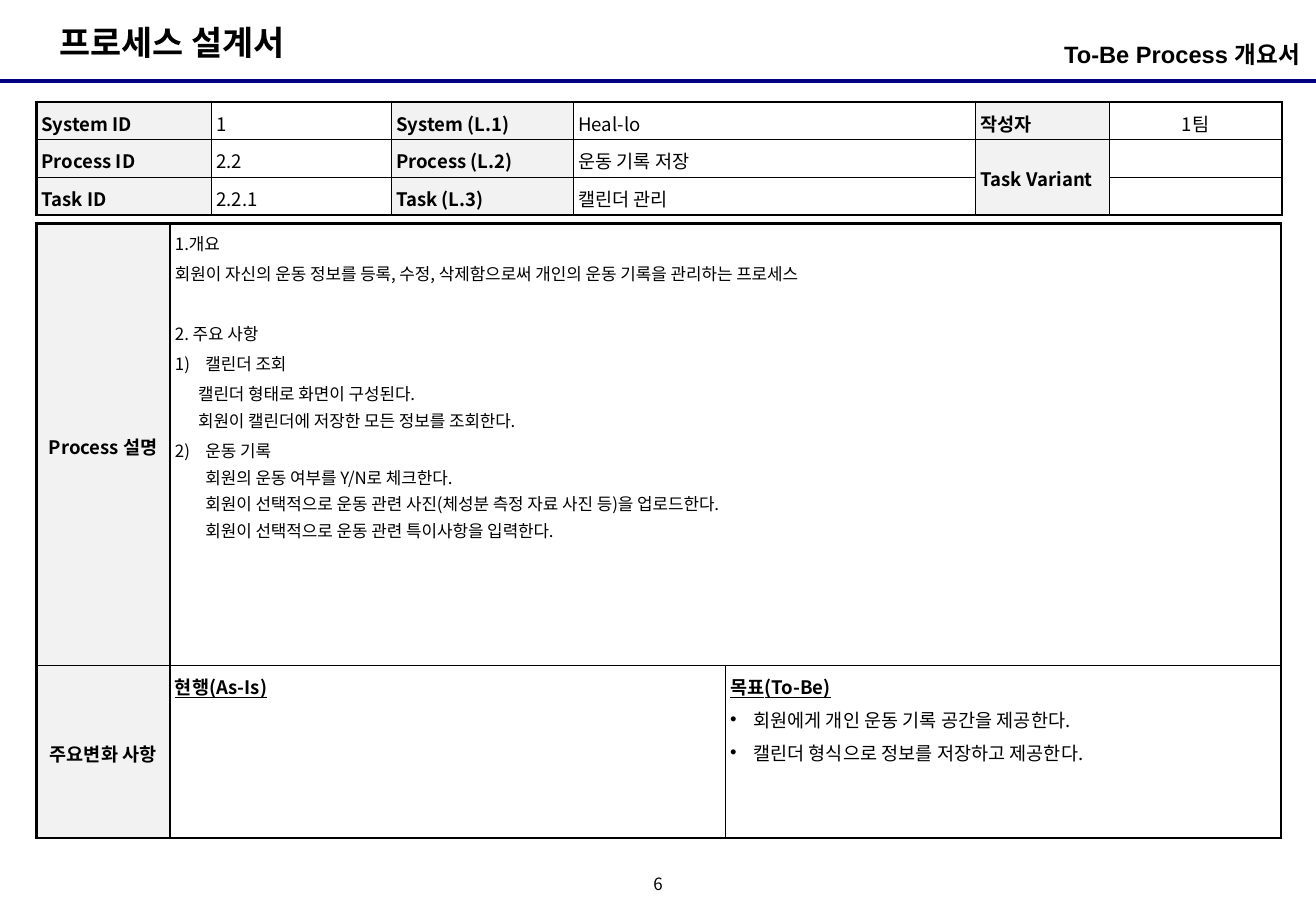
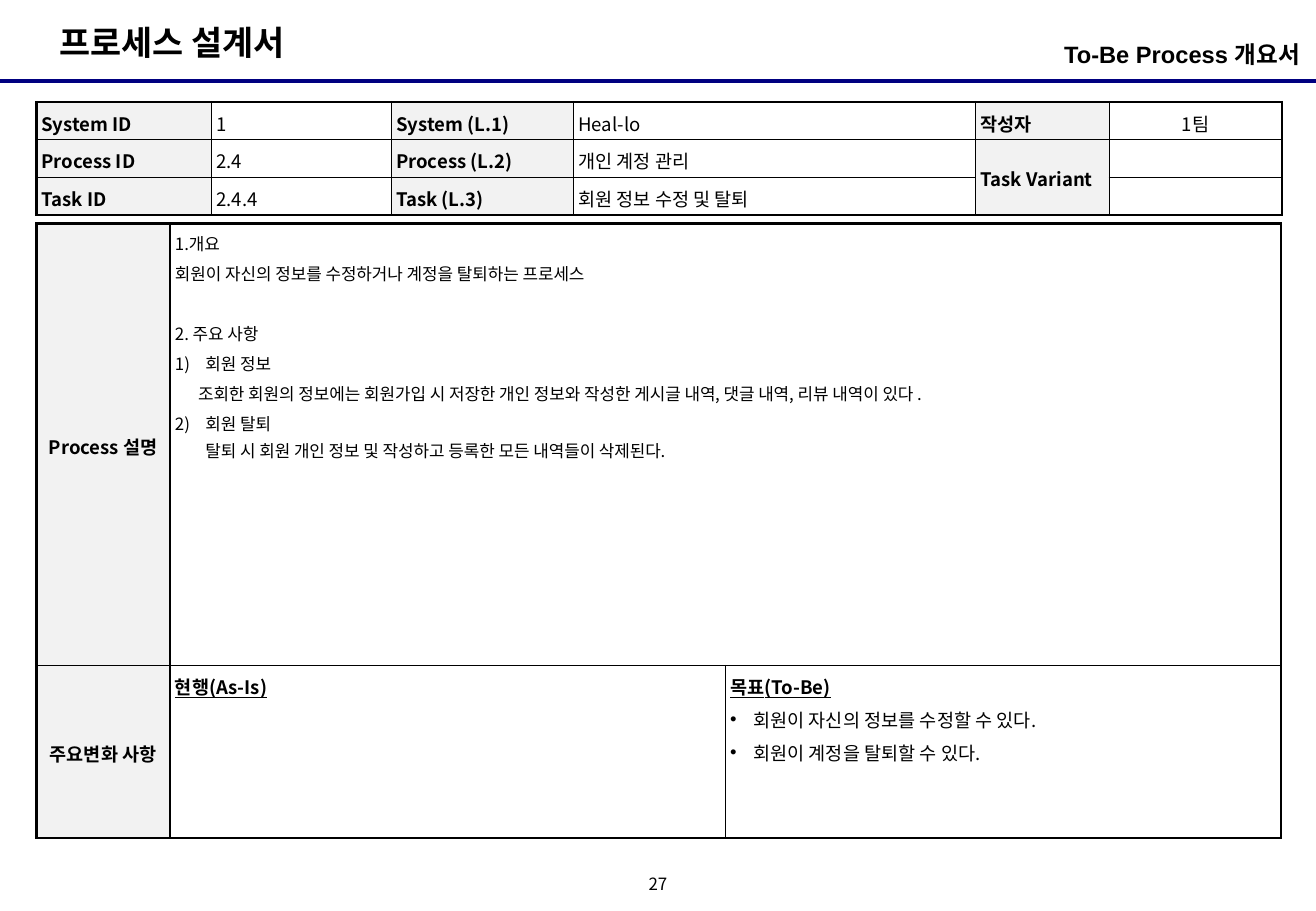
from copy import deepcopy
from dataclasses import dataclass
from typing import Optional

from lxml.etree import SubElement
from pptx import Presentation
from pptx.dml.color import RGBColor
from pptx.enum.shapes import MSO_CONNECTOR
from pptx.enum.text import MSO_ANCHOR, MSO_AUTO_SIZE, PP_ALIGN
from pptx.oxml.ns import qn
from pptx.util import Inches, Pt

COLORS = {"text": "000000", "rule": "000080", "label": "F2F2F2", "body": "FFFFFF"}
KOREAN_FONT = "Noto Sans CJK KR"
TITLE_FONT = "Arial"
TABLE_LEFT = 0.3
CELL_MARGIN = 0.04
OUTER_LINE, INNER_LINE = 1.5, 1
HEADER_WIDTHS = [1.44, 1.48, 1.5, 3.31, 1.1, 1.42]
HEADER_HEIGHTS = [0.31] * 3
DETAIL_WIDTHS = [1.1, 4.57, 4.57]
DETAIL_HEIGHTS = [3.64, 1.42]


@dataclass
class Line:
    text: str
    size: float = 11
    bold: bool = False
    underline: bool = False
    align: PP_ALIGN = PP_ALIGN.LEFT
    margin: float = 0
    hanging: float = 0
    before: float = 2
    spacing: float = 1.1
    bullet: str = ""
    number: int = 0
    font: str = KOREAN_FONT


@dataclass
class CellContent:
    lines: list[Line]
    fill: Optional[str] = None
    anchor: MSO_ANCHOR = MSO_ANCHOR.TOP


@dataclass
class Topic:
    heading: str
    details: list[str]


@dataclass
class ProcessPage:
    number: int
    process_id: str
    process: str
    task_id: str
    task: str
    overview: str
    first: Topic
    second: Topic
    goals: list[str]


PAGES = [
    ProcessPage(
        6, "2.2", "운동 기록 저장", "2.2.1", "캘린더 관리",
        "회원이 자신의 운동 정보를 등록, 수정, 삭제함으로써 개인의 운동 기록을 관리하는 프로세스",
        Topic("캘린더 조회", ["캘린더 형태로 화면이 구성된다.",
                         "회원이 캘린더에 저장한 모든 정보를 조회한다."]),
        Topic("운동 기록", ["회원의 운동 여부를 Y/N로 체크한다.",
                        "회원이 선택적으로 운동 관련 사진(체성분 측정 자료 사진 등)을 업로드한다.",
                        "회원이 선택적으로 운동 관련 특이사항을 입력한다."]),
        ["회원에게 개인 운동 기록 공간을 제공한다.",
         "캘린더 형식으로 정보를 저장하고 제공한다."],
    ),
    ProcessPage(
        27, "2.4", "개인 계정 관리", "2.4.4", "회원 정보 수정 및 탈퇴",
        "회원이 자신의 정보를 수정하거나 계정을 탈퇴하는 프로세스",
        Topic("회원 정보", ["조회한 회원의 정보에는 회원가입 시 저장한 개인 정보와 작성한 게시글 내역, "
                        "댓글 내역, 리뷰 내역이 있다 ."]),
        Topic("회원 탈퇴", ["탈퇴 시 회원 개인 정보 및 작성하고 등록한 모든 내역들이 삭제된다."]),
        ["회원이 자신의 정보를 수정할 수 있다.", "회원이 계정을 탈퇴할 수 있다."],
    ),
]


def color(name: str) -> RGBColor:
    return RGBColor.from_string(COLORS[name])


def write_paragraph(paragraph, line: Line, is_first: bool) -> None:
    paragraph.text = line.text
    paragraph.alignment = line.align
    paragraph.line_spacing = line.spacing
    paragraph.space_before = Pt(0 if is_first else line.before)
    properties = paragraph._p.get_or_add_pPr()
    properties.set("marL", str(Inches(line.margin)))
    properties.set("indent", str(Inches(-line.hanging)))
    if line.number:
        SubElement(properties, qn("a:buAutoNum"), type="arabicParenR",
                   startAt=str(line.number))
    elif line.bullet:
        SubElement(properties, qn("a:buFont"), typeface=TITLE_FONT)
        SubElement(properties, qn("a:buChar"), char=line.bullet)
    else:
        SubElement(properties, qn("a:buNone"))
    for run in paragraph.runs:
        font = run.font
        font.name, font.size = line.font, Pt(line.size)
        font.bold, font.underline = line.bold, line.underline
        font.color.rgb = color("text")
        SubElement(run._r.get_or_add_rPr(), qn("a:ea"), typeface=KOREAN_FONT)
    for line_break in paragraph._p.findall(qn("a:br")):
        line_break.insert(0, deepcopy(paragraph.runs[0]._r.rPr))
    if not line.text:
        SubElement(paragraph._p, qn("a:endParaRPr"), sz=str(int(line.size * 100)))


def write_lines(text_frame, lines: list[Line]) -> None:
    for index, line in enumerate(lines):
        paragraph = text_frame.add_paragraph() if index else text_frame.paragraphs[0]
        write_paragraph(paragraph, line, index == 0)


def set_borders(cell, weights: dict[str, float]) -> None:
    properties = cell._tc.get_or_add_tcPr()
    for index, (side, weight) in enumerate(weights.items()):
        border = SubElement(properties, qn(f"a:ln{side}"), w=str(Pt(weight)))
        fill = SubElement(border, qn("a:solidFill"))
        SubElement(fill, qn("a:srgbClr"), val=COLORS["text"])
        properties.insert(index, border)


def add_grid(slide, top: float, widths: list[float], heights: list[float],
             contents: list[list[CellContent]],
             merge: tuple[int, int, int, int]) -> None:
    row_count, column_count = len(heights), len(widths)
    table = slide.shapes.add_table(
        row_count, column_count, Inches(TABLE_LEFT), Inches(top),
        Inches(sum(widths)), Inches(sum(heights))).table
    table.first_row = table.horz_banding = False
    for column, width in zip(table.columns, widths):
        column.width = Inches(width)
    for row, height in zip(table.rows, heights):
        row.height = Inches(height)
    table.cell(*merge[:2]).merge(table.cell(*merge[2:]))
    for row, row_contents in enumerate(contents):
        for column, content in enumerate(row_contents):
            cell = table.cell(row, column)
            cell.margin_left = cell.margin_right = Inches(CELL_MARGIN)
            cell.margin_top = cell.margin_bottom = Inches(CELL_MARGIN)
            cell.vertical_anchor = content.anchor
            write_lines(cell.text_frame, content.lines)
            if content.fill:
                cell.fill.solid()
                cell.fill.fore_color.rgb = color(content.fill)
            else:
                cell.fill.background()
            is_outer = {
                "L": column == 0,
                "R": column + cell.span_width == column_count,
                "T": row == 0,
                "B": row + cell.span_height == row_count,
            }
            set_borders(cell, {side: OUTER_LINE if outer else INNER_LINE
                               for side, outer in is_outer.items()})


def label(text: str, anchor: MSO_ANCHOR = MSO_ANCHOR.TOP,
          align: PP_ALIGN = PP_ALIGN.LEFT) -> CellContent:
    return CellContent([Line(text, bold=True, align=align)], "label", anchor)


def value(text: str) -> CellContent:
    return CellContent([Line(text)])


def add_header_table(slide, page: ProcessPage) -> None:
    middle = MSO_ANCHOR.MIDDLE
    author = CellContent([Line("1팀", align=PP_ALIGN.CENTER)], anchor=middle)
    rows = [
        [label("System ID"), value("1"), label("System (L.1)"), value("Heal-lo"),
         label("작성자", middle), author],
        [label("Process ID"), value(page.process_id), label("Process (L.2)"),
         value(page.process), label("Task Variant", middle), value("")],
        [label("Task ID"), value(page.task_id), label("Task (L.3)"),
         value(page.task), label(""), value("")],
    ]
    add_grid(slide, 0.84, HEADER_WIDTHS, HEADER_HEIGHTS, rows, (1, 4, 2, 4))


def add_detail_table(slide, page: ProcessPage) -> None:
    description = [
        Line("1.개요", 10, margin=0.25, hanging=0.25),
        Line(page.overview, 10),
        Line("2. 주요 사항", 10, before=20),
        Line(page.first.heading, 10, margin=0.25, hanging=0.25, number=1),
        Line("\v".join(page.first.details), 10, margin=0.19),
        Line("\v".join([page.second.heading, *page.second.details]), 10,
             margin=0.25, hanging=0.25, number=2),
    ]
    as_is, to_be = (Line(text, bold=True, underline=True, margin=0.09, hanging=0.09)
                    for text in ("현행(As-Is)", "목표(To-Be)"))
    goals = [Line(goal, margin=0.19, hanging=0.19, bullet="•") for goal in page.goals]
    side = (MSO_ANCHOR.MIDDLE, PP_ALIGN.CENTER)
    rows = [
        [label("Process 설명", *side), CellContent(description, "body"),
         CellContent([Line("")], "body")],
        [label("주요변화 사항", *side), CellContent([as_is], "body"),
         CellContent([to_be, *goals], "body")],
    ]
    add_grid(slide, 1.84, DETAIL_WIDTHS, DETAIL_HEIGHTS, rows, (0, 1, 0, 2))


def add_text(slide, left: float, top: float, width: float, height: float,
             line: Line, inset: float, anchor: MSO_ANCHOR, wrap: bool) -> None:
    shape = slide.shapes.add_textbox(Inches(left), Inches(top),
                                     Inches(width), Inches(height))
    text_frame = shape.text_frame
    text_frame.margin_left = text_frame.margin_right = 0
    text_frame.margin_top = text_frame.margin_bottom = Inches(inset)
    text_frame.vertical_anchor = anchor
    text_frame.word_wrap = wrap
    write_lines(text_frame, [line])


def add_frame(slide, page_number: int, slide_width: int) -> None:
    rule = slide.shapes.add_connector(MSO_CONNECTOR.STRAIGHT, 0, Inches(0.67),
                                      slide_width, Inches(0.67))
    rule.line.color.rgb = color("rule")
    rule.line.width = Pt(2.25)
    SubElement(rule._element.spPr, qn("a:effectLst"))

    title = slide.shapes.title
    title.left, title.top = Inches(0.39), Inches(0.13)
    title.width, title.height = Inches(2.26), Inches(0.44)
    text_frame = title.text_frame
    text_frame.word_wrap = False
    text_frame.auto_size = MSO_AUTO_SIZE.NONE
    text_frame.vertical_anchor = MSO_ANCHOR.TOP
    write_lines(text_frame, [Line("프로세스 설계서", 20, bold=True, spacing=1.0)])

    add_text(slide, 7.39, 0.28, 3.31, 0.39,
             Line("To-Be Process 개요서", 14, bold=True, align=PP_ALIGN.RIGHT,
                  spacing=1.0, font=TITLE_FONT), 0.05, MSO_ANCHOR.TOP, True)
    add_text(slide, 5.25, 7.17, 0.33, 0.25,
             Line(str(page_number), 10, align=PP_ALIGN.CENTER, spacing=0.8),
             0, MSO_ANCHOR.MIDDLE, False)


def main() -> None:
    presentation = Presentation()
    presentation.slide_width = Inches(10.83)
    presentation.slide_height = Inches(7.5)
    title_only = presentation.slide_layouts[5]
    for page in PAGES:
        slide = presentation.slides.add_slide(title_only)
        add_frame(slide, page.number, presentation.slide_width)
        add_header_table(slide, page)
        add_detail_table(slide, page)
    presentation.save("out.pptx")


if __name__ == "__main__":
    main()
